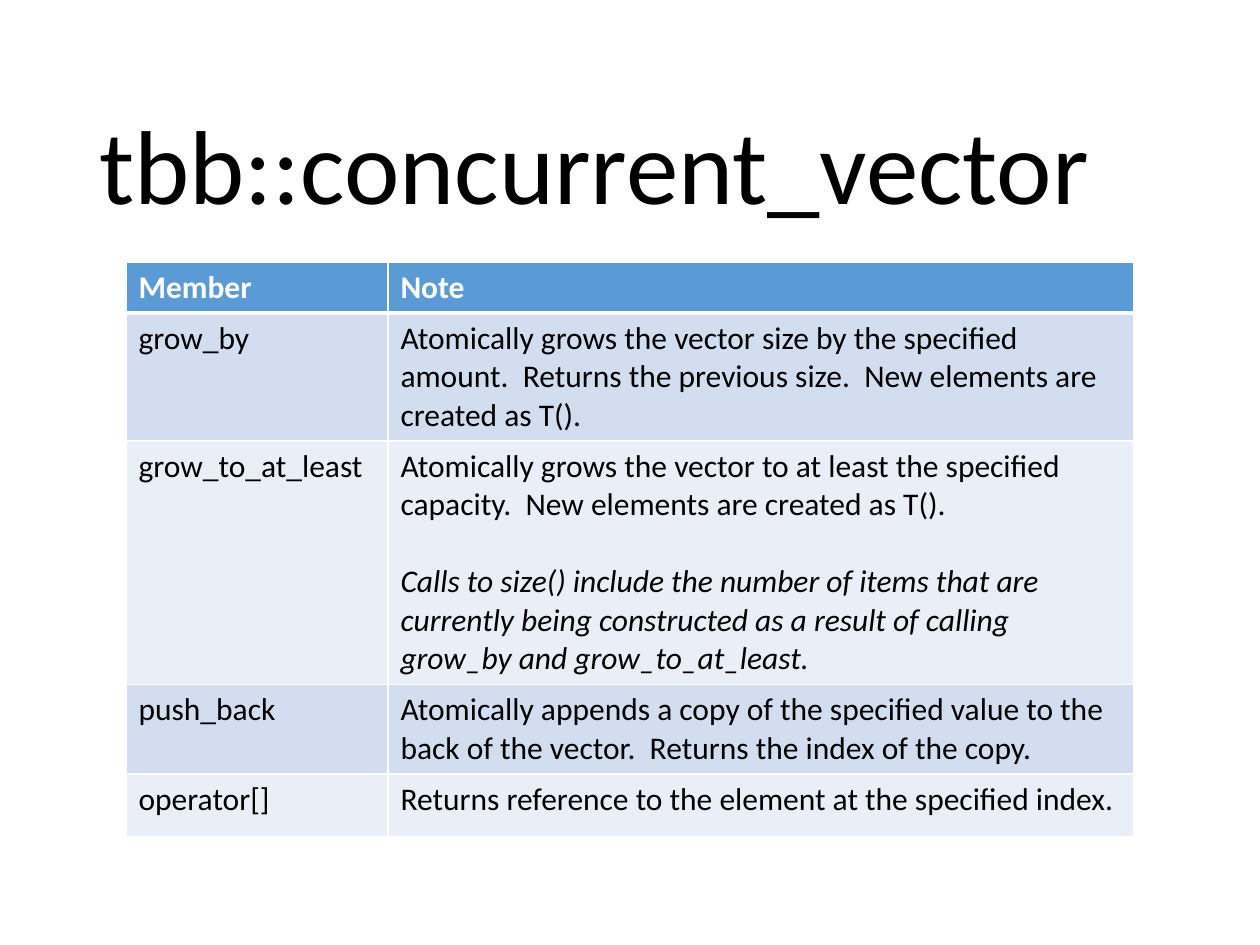
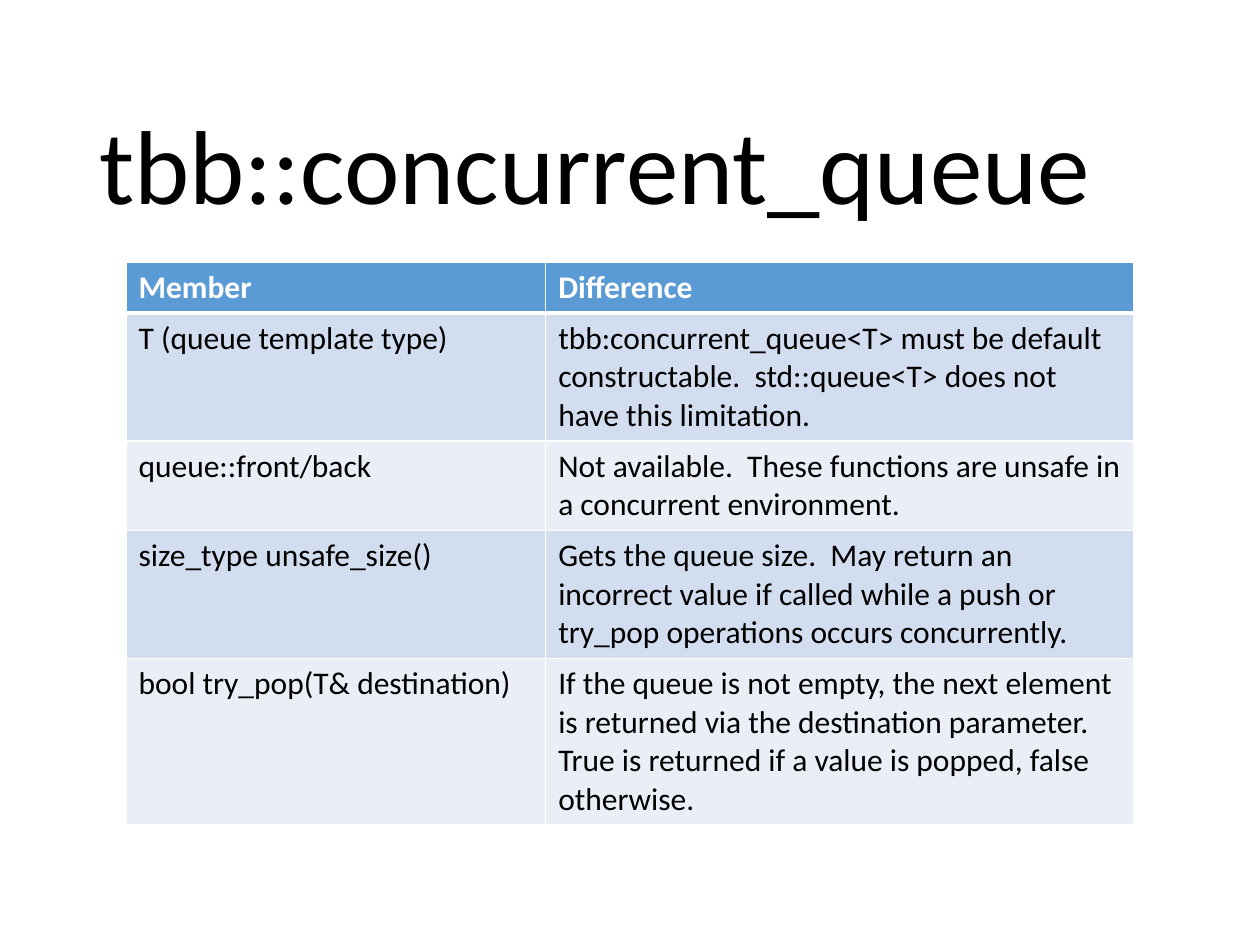
import pptx
import pptx.util
import pptx.dml.color
import pptx.enum.text
import pptx.oxml.ns
from dataclasses import dataclass
from lxml import etree

Cm, Pt = pptx.util.Cm, pptx.util.Pt
RGB = pptx.dml.color.RGBColor.from_string


@dataclass(frozen=True)
class Theme:
    font: str = "Calibri"
    ink: str = "000000"
    paper: str = "FFFFFF"
    header: str = "5B9BD5"
    bands: tuple = ("D2DEEF", "EAEFF7")
    title_size: int = 60
    body_size: int = 18
    thin: int = 1
    thick: int = 3


THEME = Theme()
TITLE_BOX = (1.75, 1.02, 21.9, 3.68)
TABLE_BOX = (2.54, 5.28, 20.32)  # left, top, width; rows set the height


def format_text(p, size, color, bold=False, italic=False):
    values = {"name": THEME.font, "size": Pt(size), "bold": bold, "italic": italic}
    for r in p.runs:
        for key, value in values.items():
            setattr(r.font, key, value)
        r.font.color.rgb = RGB(color)


def add_title(s, text, box):
    sp = s.shapes.title
    for key, value in zip(("left", "top", "width", "height"), box):
        setattr(sp, key, Cm(value))
    tf = sp.text_frame
    tf.text = text
    tf.word_wrap = True
    tf.auto_size = pptx.enum.text.MSO_AUTO_SIZE.NONE
    tf.vertical_anchor = pptx.enum.text.MSO_ANCHOR.BOTTOM
    p = tf.paragraphs[0]
    p.alignment = pptx.enum.text.PP_ALIGN.LEFT
    p.line_spacing = 0.9
    format_text(p, THEME.title_size, THEME.ink)


def set_borders(cell, top, bottom):
    tc_pr = cell._tc.get_or_add_tcPr()
    qn = pptx.oxml.ns.qn
    widths = {"L": THEME.thin, "R": THEME.thin, "T": top, "B": bottom}
    for side, width in widths.items():
        ln = etree.SubElement(tc_pr, qn(f"a:ln{side}"), w=str(Pt(width)))
        fill = etree.SubElement(ln, qn("a:solidFill"))
        etree.SubElement(fill, qn("a:srgbClr"), val=THEME.paper)


def fill_cell(cell, text, row):
    """A line break in the text starts an italic remark."""
    is_header = row == 0
    set_borders(cell,
                top=THEME.thick if row == 1 else THEME.thin,
                bottom=THEME.thick if is_header else THEME.thin)
    cell.fill.solid()
    cell.fill.fore_color.rgb = RGB(THEME.header if is_header else THEME.bands[(row - 1) % 2])
    cell.text = text
    for i, p in enumerate(cell.text_frame.paragraphs):
        if i:
            p.space_before = Pt(22)
        format_text(p, THEME.body_size, THEME.paper if is_header else THEME.ink,
                    bold=is_header, italic=i > 0)


def add_member_table(s, rows, heights, first_width, box):
    left, top, width = box
    frame = s.shapes.add_table(len(rows), 2, Cm(left), Cm(top), Cm(width), Cm(sum(heights)))
    table = frame.table
    table.horz_banding = False
    for column, column_width in zip(table.columns, (first_width, width - first_width)):
        column.width = Cm(column_width)
    for i, (texts, height) in enumerate(zip(rows, heights)):
        table.rows[i].height = Cm(height)
        for j, text in enumerate(texts):
            fill_cell(table.cell(i, j), text, i)


def add_member_slide(prs, title, rows, heights, first_width):
    s = prs.slides.add_slide(prs.slide_layouts.get_by_name("Title Only"))
    add_member_table(s, rows, heights, first_width, TABLE_BOX)
    add_title(s, title, TITLE_BOX)


VECTOR_ROWS = [
    ("Member", "Note"),
    ("grow_by",
     "Atomically grows the vector size by the specified amount.  "
     "Returns the previous size.  New elements are created as T()."),
    ("grow_to_at_least",
     "Atomically grows the vector to at least the specified capacity.  "
     "New elements are created as T().\n"
     "Calls to size() include the number of items that are currently being "
     "constructed as a result of calling grow_by and grow_to_at_least."),
    ("push_back",
     "Atomically appends a copy of the specified value to the back of the vector.  "
     "Returns the index of the copy."),
    ("operator[]", "Returns reference to the element at the specified index."),
]

QUEUE_ROWS = [
    ("Member", "Difference"),
    ("T (queue template type)",
     "tbb:concurrent_queue<T> must be default constructable.  "
     "std::queue<T> does not have this limitation."),
    ("queue::front/back",
     "Not available.  These functions are unsafe in a concurrent environment."),
    ("size_type unsafe_size()",
     "Gets the queue size.  May return an incorrect value if called while "
     "a push or try_pop operations occurs concurrently."),
    ("bool try_pop(T& destination)",
     "If the queue is not empty, the next element is returned via the destination "
     "parameter.  True is returned if a value is popped, false otherwise."),
]


def main():
    prs = pptx.Presentation()
    prs.slide_width, prs.slide_height = Cm(25.4), Cm(19.05)
    add_member_slide(prs, "tbb::concurrent_vector", VECTOR_ROWS,
                     heights=(1.02, 2.57, 4.9, 1.8, 1.27), first_width=5.28)
    add_member_slide(prs, "tbb::concurrent_queue", QUEUE_ROWS,
                     heights=(1.02, 2.57, 1.8, 2.57, 3.35), first_width=8.46)
    prs.save("out.pptx")


if __name__ == "__main__":
    main()
